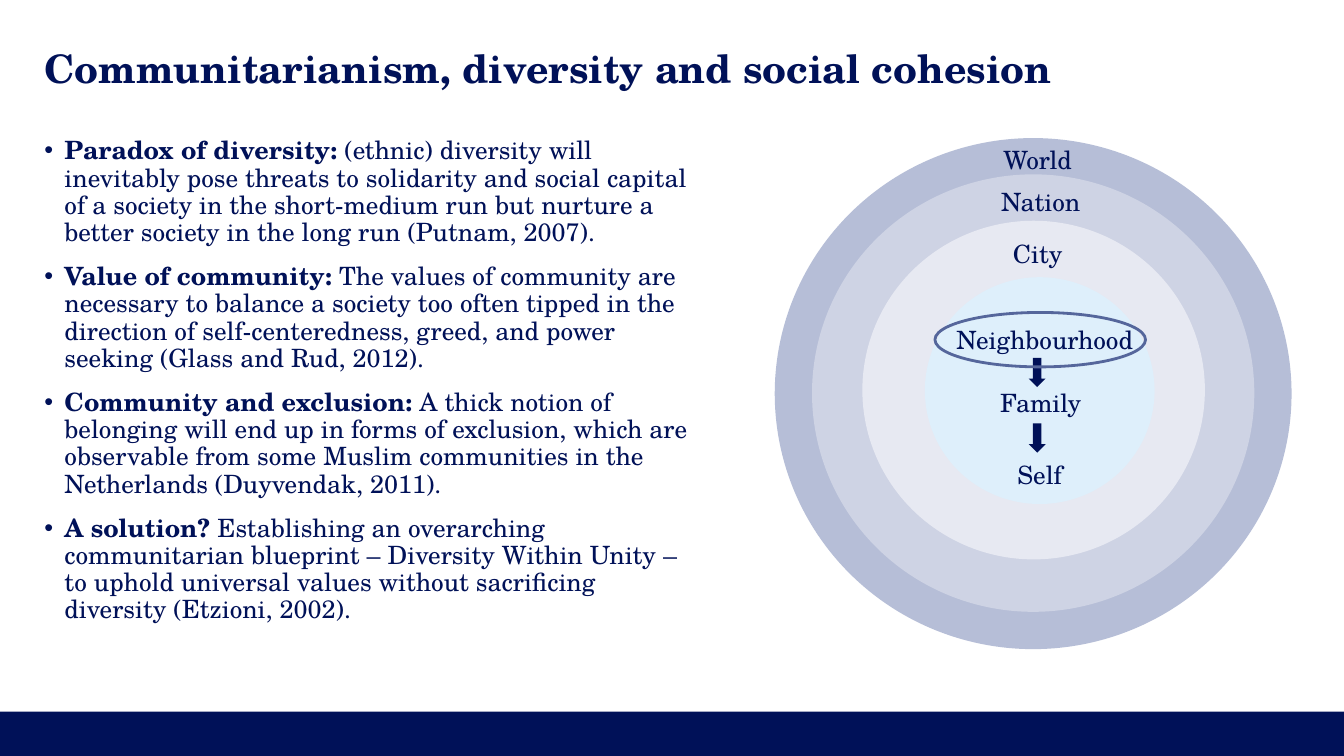
from dataclasses import dataclass

from lxml import etree
from pptx import Presentation
from pptx.dml.color import RGBColor
from pptx.enum.shapes import MSO_SHAPE as Shape
from pptx.enum.text import MSO_ANCHOR as Anchor, PP_ALIGN as Align
from pptx.oxml.ns import qn
from pptx.util import Pt

EMU_PER_PX = 9144  # 100 px to the inch


@dataclass(frozen=True)
class Theme:
    font: str = "TeX Gyre Schola"
    navy: str = "001158"
    outline: str = "55669B"
    rings: tuple = ("B6BED7", "CED3E4", "E7E9F2", "DEEFFB")
    title_size: int = 28
    body_size: int = 18


THEME = Theme()

POINTS = [
    ("Paradox of diversity: ",
     "(ethnic) diversity will inevitably pose threats to solidarity and social capital "
     "of a society in the short-medium run but nurture a better society in the long run "
     "(Putnam, 2007)."),
    ("Value of community: ",
     "The values of community are necessary to balance a society too often tipped in the "
     "direction of self-centeredness, greed, and power seeking (Glass and Rud, 2012)."),
    ("Community and exclusion: ",
     "A thick notion of belonging will end up in forms of exclusion, which are observable "
     "from some Muslim communities in the Netherlands (Duyvendak, 2011)."),
    ("A solution? ",
     "Establishing an overarching communitarian blueprint – Diversity Within Unity – to "
     "uphold universal values without sacrificing diversity (Etzioni, 2002)."),
]

# Ring boxes inside the diagram, outermost first
RINGS = [(0, 0, 513, 507), (37, 36, 439, 434), (87, 82, 340, 336), (149, 138, 228, 225)]

# Level name, centre x and top inside the diagram
LEVELS = [("World", 261, -6), ("Nation", 264, 36), ("City", 261, 87),
          ("Neighbourhood", 268, 173), ("Family", 264, 235), ("Self", 263, 307)]
LEVEL_WIDTH, LEVEL_HEIGHT, LEVEL_INSET = 200, 55, 12
ARROW_TOPS = (218, 283)


def px(value):
    return int(value * EMU_PER_PX)


def style_font(font, size, bold=False):
    font.name = THEME.font
    font.size = Pt(size)
    font.bold = bold
    font.color.rgb = RGBColor.from_string(THEME.navy)


def add_figure(slide, kind, box, fill=None, line=None):
    figure = slide.shapes.add_shape(kind, *map(px, box))
    figure.shadow.inherit = False
    if fill:
        figure.fill.solid()
        figure.fill.fore_color.rgb = RGBColor.from_string(fill)
    else:
        figure.fill.background()
    if line:
        figure.line.color.rgb = RGBColor.from_string(line)
        figure.line.width = Pt(2)
    else:
        figure.line.fill.background()


def add_frame(slide, box, inset=0, wrap=True):
    frame = slide.shapes.add_textbox(*map(px, box)).text_frame
    frame.margin_left = frame.margin_top = px(inset)
    frame.margin_right = frame.margin_bottom = px(inset)
    frame.word_wrap = wrap
    return frame


def add_bullet(paragraph):
    properties = paragraph._p.get_or_add_pPr()
    properties.set("marL", str(px(20)))
    properties.set("indent", str(px(-20)))
    colour = etree.SubElement(properties, qn("a:buClr"))
    etree.SubElement(colour, qn("a:srgbClr"), val=THEME.navy)
    etree.SubElement(properties, qn("a:buFont"), typeface="Arial")
    etree.SubElement(properties, qn("a:buChar"), char="•")


def draw_title(slide, box):
    frame = add_frame(slide, box)
    frame.vertical_anchor = Anchor.MIDDLE
    frame.text = "Communitarianism, diversity and social cohesion"
    style_font(frame.paragraphs[0].runs[0].font, THEME.title_size, bold=True)


def draw_points(slide, box):
    frame = add_frame(slide, box)
    for index, (lead, explanation) in enumerate(POINTS):
        paragraph = frame.add_paragraph() if index else frame.paragraphs[0]
        add_bullet(paragraph)
        paragraph.line_spacing = 0.9
        paragraph.space_before = Pt(6 if index else 0)
        paragraph.space_after = Pt(6)
        for text, bold in ((lead, True), (explanation, False)):
            run = paragraph.add_run()
            run.text = text
            style_font(run.font, THEME.body_size, bold)


def draw_circles(slide, box):
    left, top, _, _ = box

    # Nested rings
    for (x, y, width, height), colour in zip(RINGS, THEME.rings):
        add_figure(slide, Shape.OVAL, (left + x, top + y, width, height), fill=colour)

    # Level names
    for name, centre, y in LEVELS:
        label_box = (left + centre - LEVEL_WIDTH // 2, top + y, LEVEL_WIDTH, LEVEL_HEIGHT)
        frame = add_frame(slide, label_box, LEVEL_INSET, wrap=False)
        frame.text = name
        label = frame.paragraphs[0]
        label.alignment = Align.CENTER
        style_font(label.runs[0].font, THEME.body_size)

    # Arrows from neighbourhood to family to self
    for y in ARROW_TOPS:
        add_figure(slide, Shape.DOWN_ARROW, (left + 252, top + y, 17, 29), fill=THEME.navy)

    # Highlight around the neighbourhood
    add_figure(slide, Shape.OVAL, (left + 159, top + 173, 209, 54), line=THEME.outline)


def main():
    deck = Presentation()
    deck.slide_width, deck.slide_height = px(1334), px(750)
    slide = deck.slides.add_slide(deck.slide_layouts[6])
    # Footer band
    add_figure(slide, Shape.RECTANGLE, (0, 706, 1334, 44), fill=THEME.navy)
    draw_title(slide, (44, 44, 1246, 47))
    draw_points(slide, (44, 137, 646, 529))
    draw_circles(slide, (769, 137, 513, 507))
    deck.save("out.pptx")


if __name__ == "__main__":
    main()
